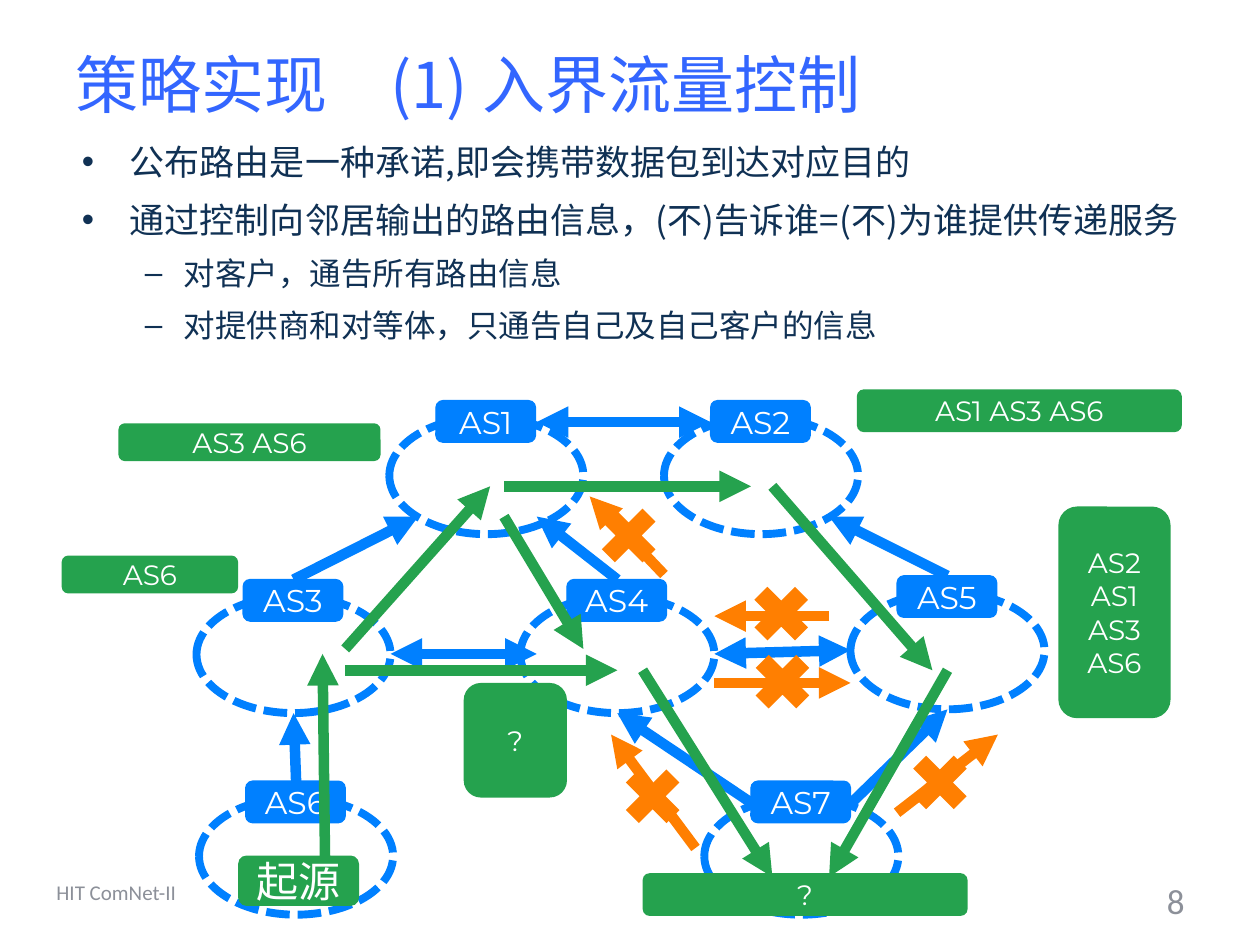
from lxml import etree
from pptx import Presentation
from pptx.dml.color import RGBColor
from pptx.enum.dml import MSO_LINE
from pptx.enum.shapes import MSO_CONNECTOR, MSO_SHAPE
from pptx.enum.text import MSO_ANCHOR, MSO_AUTO_SIZE, PP_ALIGN
from pptx.oxml.ns import qn
from pptx.util import Inches, Pt

BLUE, GREEN, ORANGE = "0080FF", "25A24E", "FF7F01"
NAVY, GREY, WHITE = "103154", "8C9099", "FFFFFF"
CJK, LATIN, LABEL = "Noto Sans CJK SC", "Calibri", "Montserrat"

presentation = Presentation()
presentation.slide_width, presentation.slide_height = Inches(10), Inches(7.5)
slide = presentation.slides.add_slide(presentation.slide_layouts[1])


def write(paragraph, text, size, font, color, align=PP_ALIGN.LEFT):
    paragraph.alignment = align
    run = paragraph.add_run()
    run.text = text
    run.font.size = Pt(size)
    run.font.name = font
    run.font.color.rgb = RGBColor.from_string(color)
    etree.SubElement(run.font._element, qn("a:ea")).set("typeface", font)


def add_box(kind, left, top, width, height, fill=None, text="", size=16, font=LABEL):
    shape = slide.shapes.add_shape(
        kind, Inches(left), Inches(top), Inches(width), Inches(height))
    shape.shadow.inherit = False
    shape.line.fill.background()
    if fill:
        shape.fill.solid()
        shape.fill.fore_color.rgb = RGBColor.from_string(fill)
    else:
        shape.fill.background()
    if text:
        shape.text_frame.vertical_anchor = MSO_ANCHOR.MIDDLE
        write(shape.text_frame.paragraphs[0], text, size, font, WHITE, PP_ALIGN.CENTER)
    return shape


# Title
title = slide.shapes.title
title.left, title.top, title.width, title.height = map(Inches, (0.5, 0.04, 9, 1.25))
title.text_frame.vertical_anchor = MSO_ANCHOR.MIDDLE
write(title.text_frame.paragraphs[0], "策略实现 \t(1) 入界流量控制", 36, CJK, "3366FF")

# Bullets
body = slide.placeholders[1]
body.left, body.top, body.width, body.height = map(Inches, (0.55, 1, 9, 0.96))
body.text_frame.auto_size = MSO_AUTO_SIZE.NONE
bullets = [
    (0, "公布路由是一种承诺,即会携带数据包到达对应目的"),
    (0, "通过控制向邻居输出的路由信息，(不)告诉谁=(不)为谁提供传递服务"),
    (1, "对客户，通告所有路由信息"),
    (1, "对提供商和对等体，只通告自己及自己客户的信息"),
]
level_styles = [(20, 0.38, -0.38), (18, 0.81, -0.31)]
for index, (level, text) in enumerate(bullets):
    frame = body.text_frame
    paragraph = frame.add_paragraph() if index else frame.paragraphs[0]
    size, margin, indent = level_styles[level]
    paragraph.level = level
    paragraph.line_spacing = 1.2
    properties = paragraph._p.get_or_add_pPr()
    properties.set("marL", str(Inches(margin)))
    properties.set("indent", str(Inches(indent)))
    write(paragraph, text, size, CJK, NAVY)

# Footer and page number
for left, top, width, text, size, align in [
    (0.35, 6.88, 3.17, "HIT ComNet-II", 12, PP_ALIGN.LEFT),
    (7.17, 6.95, 2.33, "8", 20, PP_ALIGN.RIGHT),
]:
    footer = slide.shapes.add_textbox(
        Inches(left), Inches(top), Inches(width), Inches(0.4))
    footer.text_frame.word_wrap = True
    footer.text_frame.vertical_anchor = MSO_ANCHOR.MIDDLE
    write(footer.text_frame.paragraphs[0], text, size, LATIN, GREY, align)

# Autonomous systems: dashed ellipse with a name tag on its top edge
systems = {
    "AS2": (5.27, 3.31), "AS1": (3.09, 3.31), "AS3": (1.56, 4.73),
    "AS4": (4.13, 4.73), "AS5": (6.75, 4.7), "AS6": (1.58, 6.33),
    "AS7": (5.59, 6.33),
}
for name, (left, top) in systems.items():
    ellipse = add_box(MSO_SHAPE.OVAL, left, top, 1.54, 0.93)
    ellipse.line.color.rgb = RGBColor.from_string(BLUE)
    ellipse.line.width = Pt(4.5)
    ellipse.line.dash_style = MSO_LINE.SQUARE_DOT
    tag = add_box(MSO_SHAPE.ROUNDED_RECTANGLE, left + 0.37, top - 0.13,
                  0.79, 0.33, BLUE, name, 18)
    tag.line.color.rgb = RGBColor.from_string(BLUE)
    tag.line.width = Pt(0.75)
add_box(MSO_SHAPE.ROUNDED_RECTANGLE, 1.89, 6.79, 0.96, 0.4, GREEN, "起源", 24, CJK)

# Blue links join anchor points, given as offsets from a system's corner
anchors = {
    "top": (0.77, -0.13), "bottom": (0.77, 0.93),
    "left": (0, 0.46), "right": (1.54, 0.46), "inner left": (0.13, 0.46),
    "lower left": (0.23, 0.79), "lower right": (1.31, 0.79),
    "lower middle": (1.17, 0.79),
    "tag left": (0.37, 0.04), "tag right": (1.17, 0.04),
}
links = [
    ("AS6", "top", "AS3", "bottom", False),
    ("AS7", "tag left", "AS4", "bottom", False),
    ("AS7", "tag right", "AS5", "bottom", False),
    ("AS5", "top", "AS2", "lower right", False),
    ("AS4", "top", "AS1", "lower middle", False),
    ("AS3", "top", "AS1", "lower left", False),
    ("AS1", "tag right", "AS2", "tag left", True),
    ("AS3", "right", "AS4", "inner left", True),
    ("AS4", "right", "AS5", "left", True),
]
arrows = []
for source, source_anchor, target, target_anchor, both_ways in links:
    ends = [system + offset
            for name, anchor in ((source, source_anchor), (target, target_anchor))
            for system, offset in zip(systems[name], anchors[anchor])]
    arrows.append((BLUE, ends, both_ways))

# Green announcements and orange blocked announcements
announcements = {
    GREEN: [
        (2.58, 6.84, 2.56, 5.19), (2.74, 5.15, 3.89, 3.86),
        (2.74, 5.32, 4.9, 5.32), (4, 3.86, 5.96, 3.86),
        (5.1, 5.32, 6.13, 6.96), (6.13, 3.86, 7.4, 5.32),
        (7.52, 5.32, 6.58, 6.96), (4, 4.1, 4.63, 5.15),
    ],
    ORANGE: [
        (5.52, 6.73, 4.85, 5.83), (7.12, 6.45, 7.92, 5.83),
        (5.27, 4.56, 4.68, 3.94), (5.67, 5.42, 6.75, 5.42),
        (6.58, 4.89, 5.67, 4.89),
    ],
}
for color, routes in announcements.items():
    arrows += [(color, route, False) for route in routes]

for color, ends, both_ways in arrows:
    arrow = slide.shapes.add_connector(MSO_CONNECTOR.STRAIGHT, *map(Inches, ends))
    arrow.line.color.rgb = RGBColor.from_string(color)
    arrow.line.width = Pt(6)
    outline = arrow.line._get_or_add_ln()
    for end in ("a:headEnd", "a:tailEnd") if both_ways else ("a:tailEnd",):
        etree.SubElement(outline, qn(end)).set("type", "triangle")
    etree.SubElement(arrow._element.spPr, qn("a:effectLst"))

# Crosses on the blocked announcements
for left, top in [(4.87, 6.01), (7.15, 5.9), (4.68, 3.94), (5.9, 5.1), (5.89, 4.56)]:
    add_box(MSO_SHAPE.MATH_MULTIPLY, left, top, 0.62, 0.62, ORANGE)

# Announced AS paths
for left, top, width, height, text in [
    (0.49, 4.41, 1.4, 0.3, "AS6"),
    (0.94, 3.36, 2.08, 0.3, "AS3 AS6"),
    (6.8, 3.09, 2.58, 0.34, "AS1 AS3 AS6"),
    (8.4, 4.02, 0.89, 1.68, "AS2 AS1 AS3 AS6"),
    (3.68, 5.42, 0.82, 0.91, "?"),
    (5.1, 6.93, 2.58, 0.34, "?"),
]:
    add_box(MSO_SHAPE.ROUNDED_RECTANGLE, left, top, width, height, GREEN, text)

presentation.save("out.pptx")
